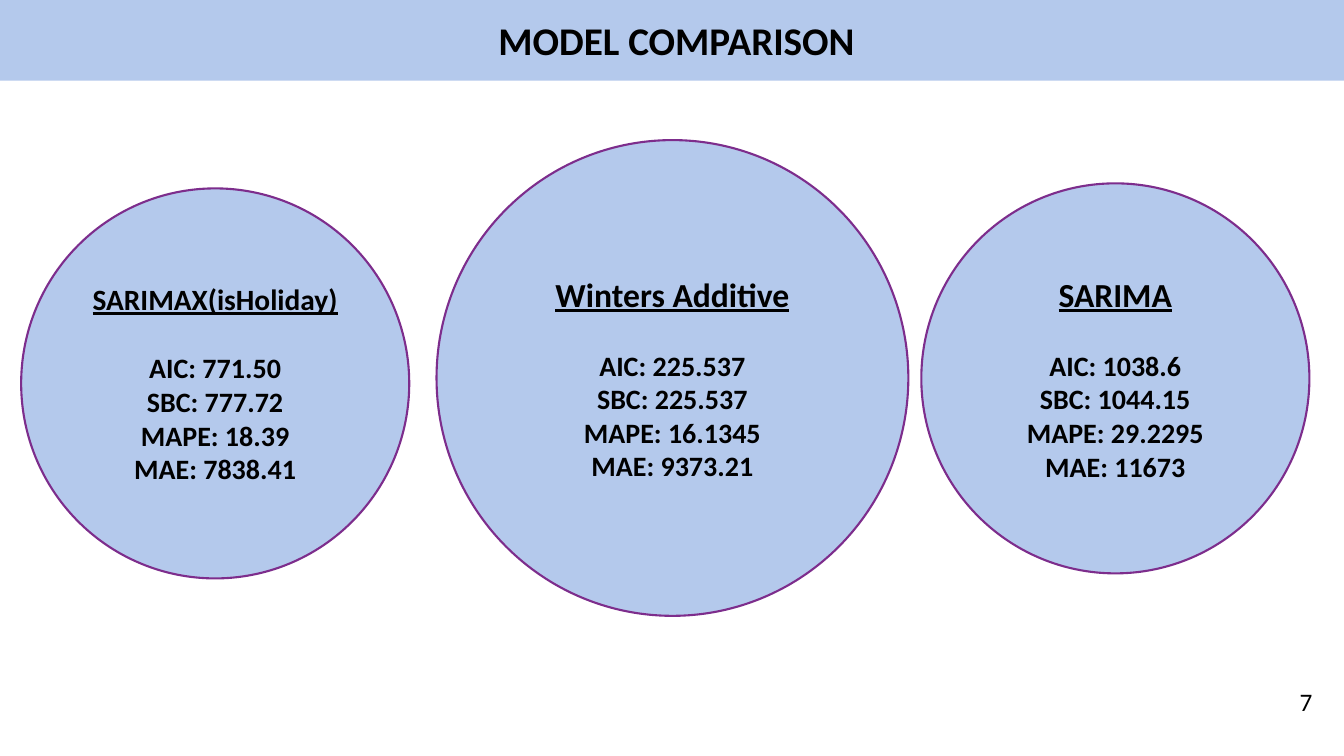
"""Build the model comparison slide with three circles of fit statistics."""
from pptx import Presentation
from pptx.dml.color import RGBColor
from pptx.enum.shapes import MSO_SHAPE
from pptx.enum.text import MSO_ANCHOR, PP_ALIGN
from pptx.util import Pt

RECTANGLE, OVAL = MSO_SHAPE.RECTANGLE, MSO_SHAPE.OVAL
MIDDLE = MSO_ANCHOR.MIDDLE
CENTER, RIGHT = PP_ALIGN.CENTER, PP_ALIGN.RIGHT

FONT = "Calibri"
BLUE, PURPLE, BLACK = "B4C9EC", "7D2D8C", "000000"
SLIDE_WIDTH, SLIDE_HEIGHT = 960, 540
TITLE = " MODEL COMPARISON"
PAGE_NUMBER = "7"
STATISTICS = ("AIC", "SBC", "MAPE", "MAE")
STATISTIC_SIZE = 20
HEADING_GAP = 24.4
LARGE, SMALL = (337, 339.8), (277.2, 278.6)
MODELS = [
    {"name": "Winters Additive", "name_size": 24, "position": (311.8, 100.1),
     "size": LARGE, "values": ("225.537", "225.537", "16.1345", "9373.21")},
    {"name": "SARIMAX(isHoliday)", "name_size": 21, "position": (15.1, 134.6),
     "size": SMALL, "values": ("771.50", "777.72", "18.39", "7838.41")},
    {"name": "SARIMA", "name_size": 24, "position": (658.1, 131),
     "size": SMALL, "values": ("1038.6", "1044.15", "29.2295", "11673")},
]


def color(hex_string):
    return RGBColor.from_string(hex_string)


def write(paragraph, text, size=STATISTIC_SIZE, bold=True, underline=False,
          align=CENTER, space_after=0):
    paragraph.alignment = align
    paragraph.space_after = Pt(space_after)
    run = paragraph.add_run()
    run.text = text
    run.font.name = FONT
    run.font.size = Pt(size)
    run.font.bold = bold
    run.font.underline = underline
    run.font.color.rgb = color(BLACK)


def add_filled_shape(slide, kind, position, size, line=None):
    shape = slide.shapes.add_shape(kind, *map(Pt, position + size))
    shape.shadow.inherit = False
    shape.fill.solid()
    shape.fill.fore_color.rgb = color(BLUE)
    if line:
        shape.line.color.rgb = color(line)
        shape.line.width = Pt(1.5)
    else:
        shape.line.fill.background()
    shape.text_frame.word_wrap = True
    shape.text_frame.vertical_anchor = MIDDLE
    return shape.text_frame


def add_model(slide, model):
    frame = add_filled_shape(slide, OVAL, model["position"], model["size"], PURPLE)
    write(frame.paragraphs[0], model["name"], size=model["name_size"],
          underline=True, space_after=HEADING_GAP)
    for statistic, value in zip(STATISTICS, model["values"]):
        write(frame.add_paragraph(), f"{statistic}: {value}")


def main():
    presentation = Presentation()
    presentation.slide_width = Pt(SLIDE_WIDTH)
    presentation.slide_height = Pt(SLIDE_HEIGHT)
    slide = presentation.slides.add_slide(presentation.slide_layouts[6])

    title = add_filled_shape(slide, RECTANGLE, (0, 0), (SLIDE_WIDTH, 57.6))
    write(title.paragraphs[0], TITLE, size=28)

    page_box = slide.shapes.add_textbox(Pt(901.4), Pt(486), Pt(43.2), Pt(29.5))
    page_box.text_frame.word_wrap = True
    page_box.text_frame.vertical_anchor = MIDDLE
    write(page_box.text_frame.paragraphs[0], PAGE_NUMBER, size=18, bold=False,
          align=RIGHT)

    for model in MODELS:
        add_model(slide, model)
    presentation.save("out.pptx")


if __name__ == "__main__":
    main()
